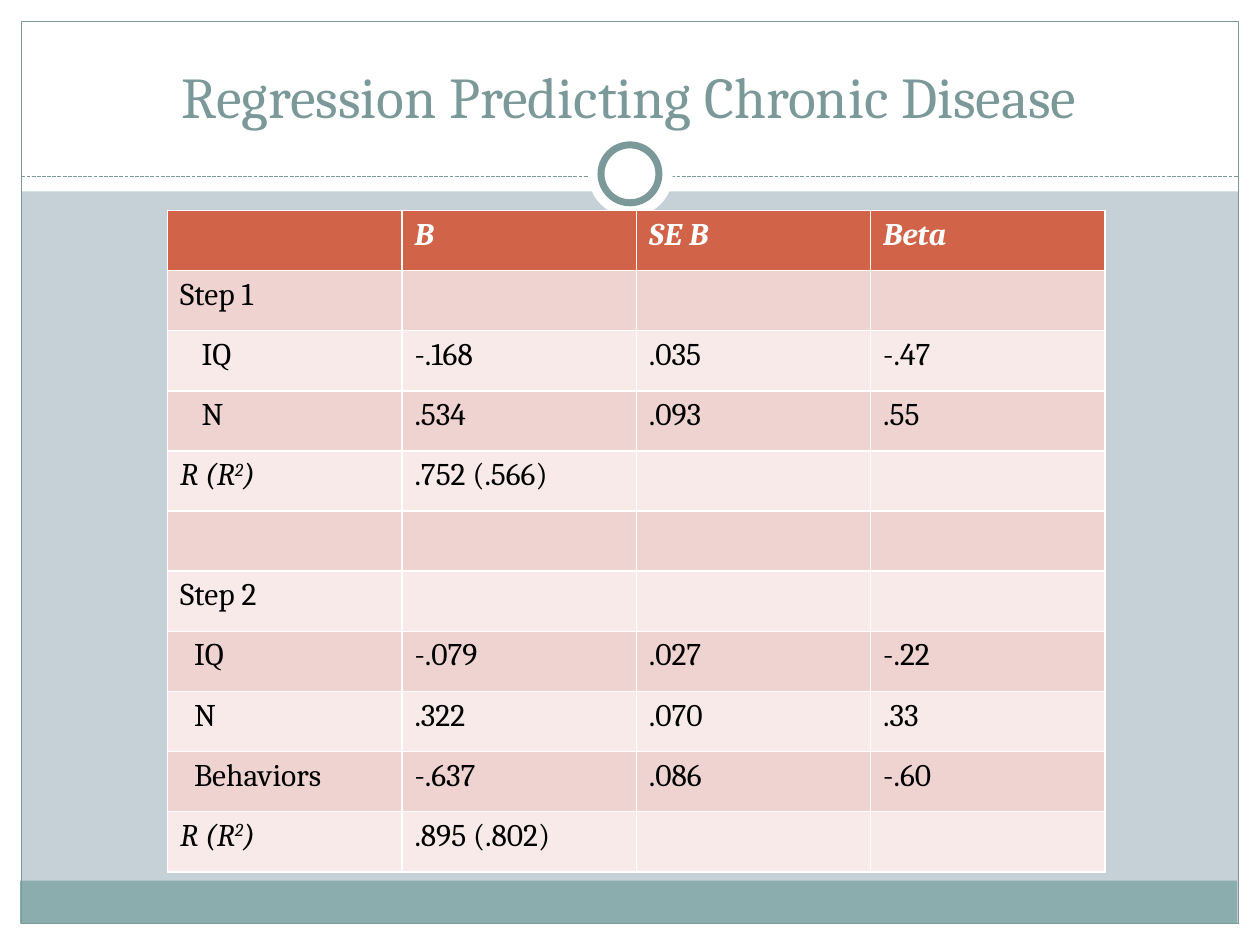
from dataclasses import dataclass

import pptx
import pptx.dml.color
import pptx.enum.dml
import pptx.enum.shapes
import pptx.enum.text
import pptx.util
from lxml import etree
from pptx.util import Inches

HUES = {
    "back": "C5D1D7", "white": "FFFFFF", "teal": "7C999A", "foot": "8CADAE",
    "head": "D16349", "dark": "EED3D0", "light": "F7EAE9", "black": "000000",
}
FONT = "Cambria"
KINDS = pptx.enum.shapes.MSO_SHAPE


@dataclass
class Part:
    left: float
    top: float
    width: float
    height: float
    fill: str = ""
    line: float = 0
    kind: int = KINDS.RECTANGLE


@dataclass
class Row:
    label: str
    values: tuple = ()
    indent: float = 0


EDGES = [
    Part(0, 7.33, 10, 0.17, "white"),
    Part(0, 0, 10, 1.52, "white"),
    Part(0, 0, 0.17, 7.5, "white"),
    Part(9.83, 0, 0.17, 7.5, "white"),
    Part(0.16, 6.99, 9.66, 0.34, "foot"),
    Part(0.17, 0.17, 9.66, 7.16, line=0.75),
]
RINGS = [
    Part(4.67, 1.05, 0.67, 0.67, "white", kind=KINDS.OVAL),
    Part(4.77, 1.15, 0.46, 0.46, "white", 4, KINDS.OVAL),
]
SQUARE = "R (R²)"
ROWS = [
    Row("", ("B", "SE B", "Beta")),
    Row("Step 1"),
    Row("IQ", ("-.168", ".035", "-.47"), 0.17),
    Row("N", (".534", ".093", ".55"), 0.17),
    Row(SQUARE, (".752 (.566)",)),
    Row(""),
    Row("Step 2"),
    Row("IQ", ("-.079", ".027", "-.22"), 0.11),
    Row("N", (".322", ".070", ".33"), 0.11),
    Row("Behaviors", ("-.637", ".086", "-.60"), 0.11),
    Row(SQUARE, (".895 (.802)",)),
]
COLS = 4


def hue(name: str) -> pptx.dml.color.RGBColor:
    return pptx.dml.color.RGBColor.from_string(HUES[name])


def paint(fill, name: str) -> None:
    fill.solid()
    fill.fore_color.rgb = hue(name)


def style(font, size: float, name: str) -> None:
    font.name = FONT
    font.size = pptx.util.Pt(size)
    font.color.rgb = hue(name)


def draw_part(slide, part: Part) -> None:
    box = map(Inches, (part.left, part.top, part.width, part.height))
    shape = slide.shapes.add_shape(part.kind, *box)
    shape.shadow.inherit = False
    if part.fill:
        paint(shape.fill, part.fill)
    else:
        shape.fill.background()
    if part.line:
        paint(shape.line.fill, "teal")
        shape.line.width = pptx.util.Pt(part.line)
    else:
        shape.line.fill.background()


def draw_rule(slide) -> None:
    rule = slide.shapes.add_connector(
        pptx.enum.shapes.MSO_CONNECTOR.STRAIGHT,
        Inches(0.17), Inches(1.4), Inches(9.83), Inches(1.4))
    paint(rule.line.fill, "teal")
    rule.line.width = pptx.util.Pt(0.75)
    rule.line.dash_style = pptx.enum.dml.MSO_LINE.SQUARE_DOT
    etree.SubElement(rule._element.spPr, pptx.oxml.ns.qn("a:effectLst"))


def draw_title(slide, text: str) -> None:
    """Fill the title and raise it above the frame."""
    title = slide.shapes.title
    title.left, title.top = Inches(0.33), Inches(0.25)
    title.width, title.height = Inches(9.33), Inches(0.83)
    frame = title.text_frame
    frame.text = text
    frame.vertical_anchor = pptx.enum.text.MSO_ANCHOR.BOTTOM
    line = frame.paragraphs[0]
    line.alignment = pptx.enum.text.PP_ALIGN.CENTER
    style(line.font, 33, "teal")
    slide.shapes._spTree.append(title._element)


def write(line, text: str) -> None:
    """Add the text, with ² as a raised 2."""
    base, mark, rest = text.partition("²")
    for piece in filter(None, (base, mark, rest)):
        run = line.add_run()
        run.text = piece.replace("²", "2")
        if piece == "²":
            run._r.get_or_add_rPr().set("baseline", "30000")


def draw_table(slide) -> None:
    """Draw the grid; its default style supplies the white borders."""
    grid = slide.shapes.add_table(
        len(ROWS), COLS, Inches(1.33), Inches(1.67),
        Inches(7.44), Inches(5.25)).table
    for r, row in enumerate(ROWS):
        head = r == 0
        texts = (row.label, *row.values)
        for c in range(COLS):
            cell = grid.cell(r, c)
            paint(cell.fill, "head" if head else "dark" if r % 2 else "light")
            text = texts[c] if c < len(texts) else ""
            line = cell.text_frame.paragraphs[0]
            style(line.font, 18, "white" if head else "black")
            line.font.bold = head
            line.font.italic = head or text == SQUARE
            write(line, text)
        grid.cell(r, 0).margin_left = Inches(0.1 + row.indent)


def main() -> None:
    deck = pptx.Presentation()
    deck.slide_width, deck.slide_height = Inches(10), Inches(7.5)
    slide = deck.slides.add_slide(deck.slide_layouts[5])
    paint(slide.background.fill, "back")
    for part in EDGES:
        draw_part(slide, part)
    draw_rule(slide)
    for part in RINGS:
        draw_part(slide, part)
    draw_title(slide, "Regression Predicting Chronic Disease")
    draw_table(slide)
    deck.save("out.pptx")


if __name__ == "__main__":
    main()
